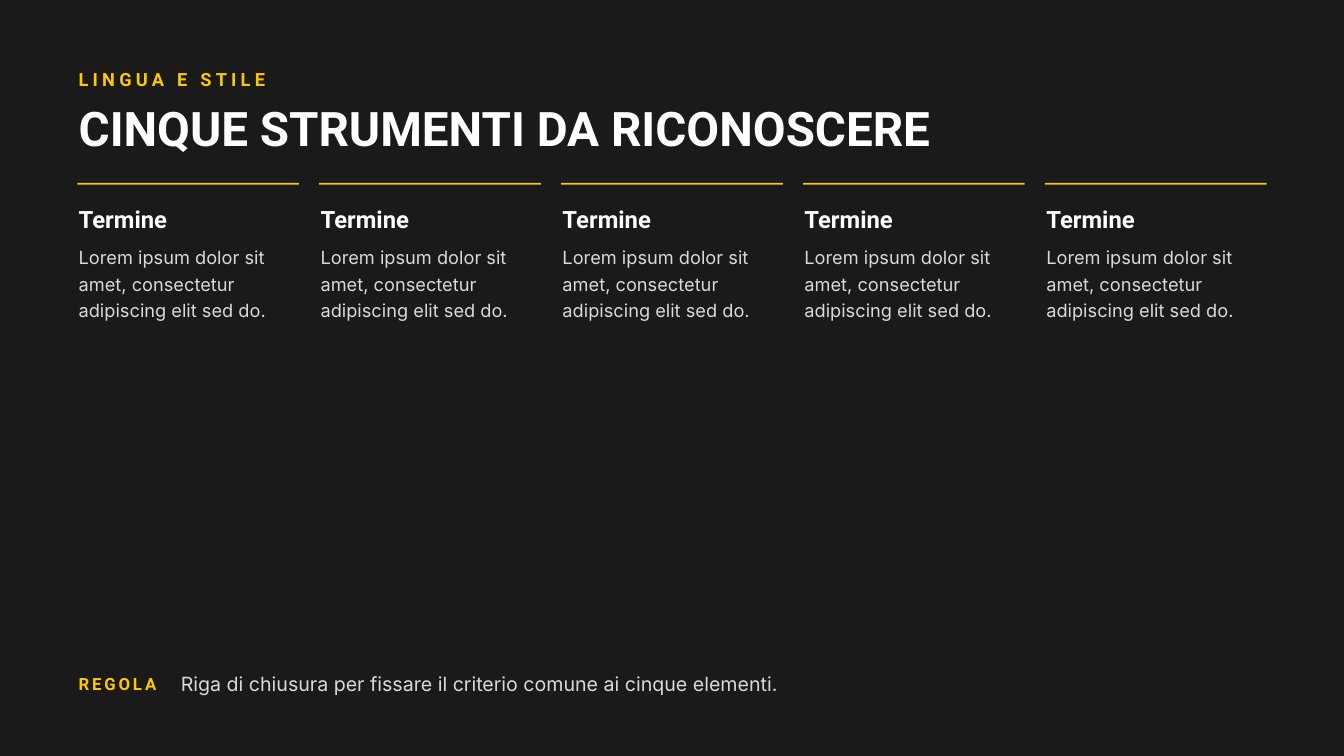
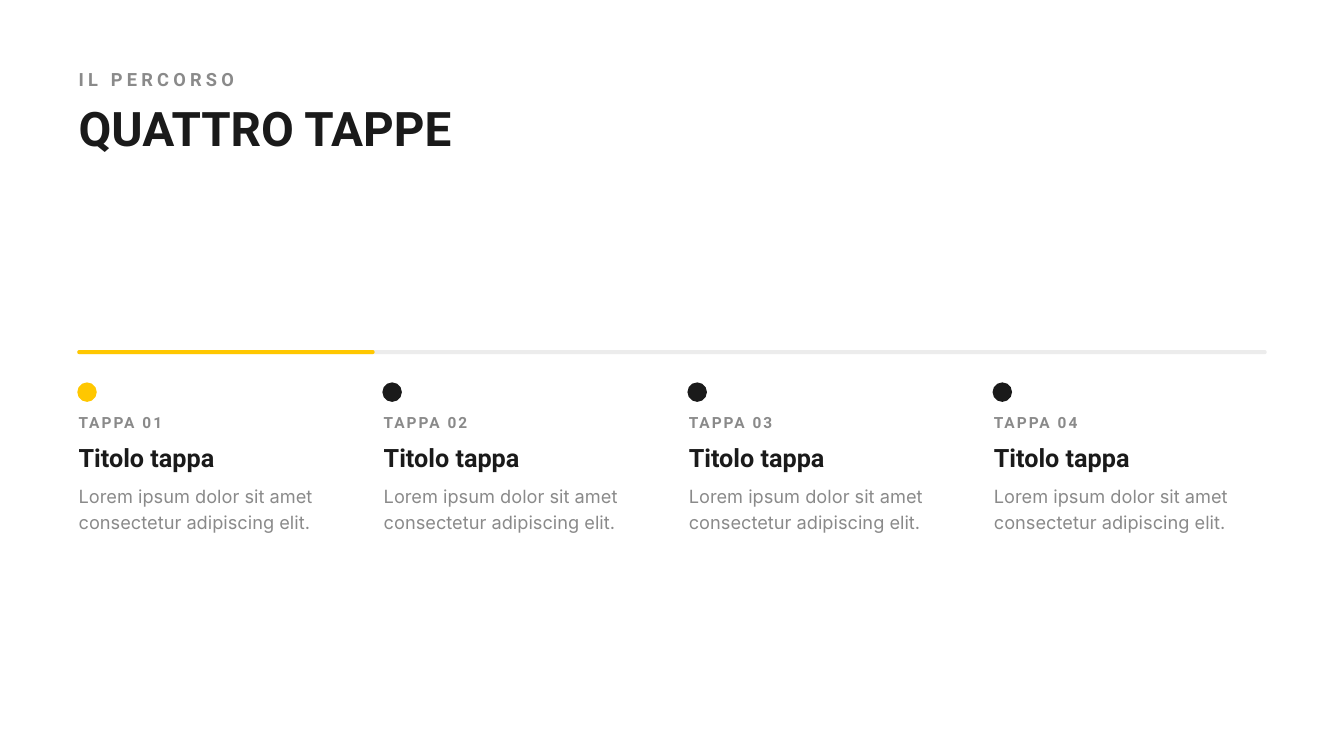
from pptx import Presentation
from pptx import util as u
from pptx.dml.color import RGBColor
from pptx.enum import shapes, text

INK = RGBColor(0x1A, 0x1A, 0x1A)
WHITE = RGBColor(0xFF, 0xFF, 0xFF)
YELLOW = RGBColor(0xFF, 0xC7, 0x00)
GREY = RGBColor(0x8A, 0x8A, 0x8A)
SILVER = RGBColor(0xD9, 0xD9, 0xD9)
TRACK = RGBColor(0xEC, 0xEC, 0xEC)
HEAD_FONT, BODY_FONT = "Roboto", "Inter"

# The slide is a grid of 200 columns by 112.5 rows of square cells.
CELL = u.Inches(0.1)
COLUMNS, ROWS = 200, 112.5
MARGIN, CONTENT = 11.5, 177
TEXT_INSET = 0.2


def cells(count):
    return round(count * CELL)


def write(box, words, size, color, leading, font=HEAD_FONT, bold=True, tracking=0):
    """Fill a box with one paragraph; leading and tracking are in points."""
    frame = box.text_frame
    frame.margin_left = frame.margin_right = frame.margin_top = frame.margin_bottom = 0
    frame.word_wrap = True
    frame.auto_size = text.MSO_AUTO_SIZE.SHAPE_TO_FIT_TEXT
    frame.vertical_anchor = text.MSO_ANCHOR.TOP
    paragraph = frame.paragraphs[0]
    paragraph.alignment = text.PP_ALIGN.LEFT
    paragraph.line_spacing = u.Pt(leading)
    run = paragraph.add_run()
    run.text = words
    run.font.name, run.font.size, run.font.bold = font, u.Pt(size), bold
    run.font.color.rgb = color
    if tracking:
        run._r.get_or_add_rPr().set("spc", str(round(tracking * 100)))


def split(count, gap):
    """Left edges and shared width of equal columns across the content."""
    width = (CONTENT - gap * (count - 1)) / count
    return [MARGIN + i * (width + gap) for i in range(count)], width


class Deck:
    def __init__(self):
        self.file = Presentation()
        self.file.slide_width = cells(COLUMNS)
        self.file.slide_height = cells(ROWS)
        self.slide = None

    def start(self, kicker, title, background, kicker_color, title_color):
        self.slide = self.file.slides.add_slide(self.file.slide_layouts[5])
        self.slide.background.fill.solid()
        self.slide.background.fill.fore_color.rgb = background
        left = MARGIN + TEXT_INSET
        width = COLUMNS - left
        heading = self.slide.shapes.title
        heading.left, heading.top = cells(left), cells(16.2)
        heading.width, heading.height = cells(width), cells(6.1)
        write(heading, title, 51, title_color, 50.8)
        self.label(MARGIN, 10.1, width, 3.3, kicker, 19.5, kicker_color, 23.4, tracking=4.5)

    def label(self, left, top, width, height, words, size, color, leading, **style):
        box = self.slide.shapes.add_textbox(
            cells(left + TEXT_INSET), cells(top), cells(width), cells(height))
        write(box, words, size, color, leading, **style)

    def body(self, left, top, width, height, words, color, size=19.5, leading=28.4):
        self.label(left, top, width, height, words, size, color, leading,
                   font=BODY_FONT, bold=False)

    def block(self, kind, left, top, width, height, color):
        shape = self.slide.shapes.add_shape(
            kind, cells(left), cells(top), cells(width), cells(height))
        shape.shadow.inherit = False
        shape.fill.solid()
        shape.fill.fore_color.rgb = color
        shape.line.fill.background()
        return shape

    def rule(self, left, top, width):
        self.block(shapes.MSO_SHAPE.RECTANGLE, left, top, width, 0.3, YELLOW)

    def bar(self, top, width, color):
        shape = self.block(shapes.MSO_SHAPE.ROUNDED_RECTANGLE, MARGIN, top, width, 0.6, color)
        shape.adjustments[0] = 0.5

    def dot(self, left, top, color):
        self.block(shapes.MSO_SHAPE.OVAL, left, top, 2.9, 2.9, color)


def add_tools(deck):
    deck.start("LINGUA E STILE", "CINQUE STRUMENTI DA RICONOSCERE", INK, YELLOW, WHITE)
    lefts, width = split(5, gap=3)
    for left in lefts:
        deck.rule(left, 27.2, width)
        deck.label(left, 30.4, 35.8, 4.2, "Termine", 25.5, WHITE, 30.6)
        deck.body(left, 36, 33.5, 12.3,
                  "Lorem ipsum dolor sit amet, consectetur adipiscing elit sed do.", SILVER)
    deck.label(MARGIN, 100.3, 12.5, 3.1, "REGOLA", 18, YELLOW, 21.6, tracking=3)
    deck.body(26.7, 99.3, 97.2, 4.6,
              "Riga di chiusura per fissare il criterio comune ai cinque elementi.",
              SILVER, size=21, leading=30.1)


def add_stages(deck):
    deck.start("IL PERCORSO", "QUATTRO TAPPE", WHITE, GREY, INK)
    deck.bar(52.1, CONTENT, TRACK)
    deck.bar(52.1, CONTENT / 4, YELLOW)
    lefts, _ = split(4, gap=4.6)
    for number, left in enumerate(lefts, 1):
        deck.dot(left, 56.9, YELLOW if number == 1 else INK)
        deck.label(left, 61.5, 44.4, 2.8, f"TAPPA {number:02}", 16.5, GREY, 19.8, tracking=2.2)
        deck.label(left, 66.1, 44.4, 4.2, "Titolo tappa", 27, INK, 30.5)
        deck.body(left, 71.5, 41.5, 8.3,
                  "Lorem ipsum dolor sit amet consectetur adipiscing elit.", GREY)


def main():
    deck = Deck()
    add_tools(deck)
    add_stages(deck)
    deck.file.save("out.pptx")


if __name__ == "__main__":
    main()
